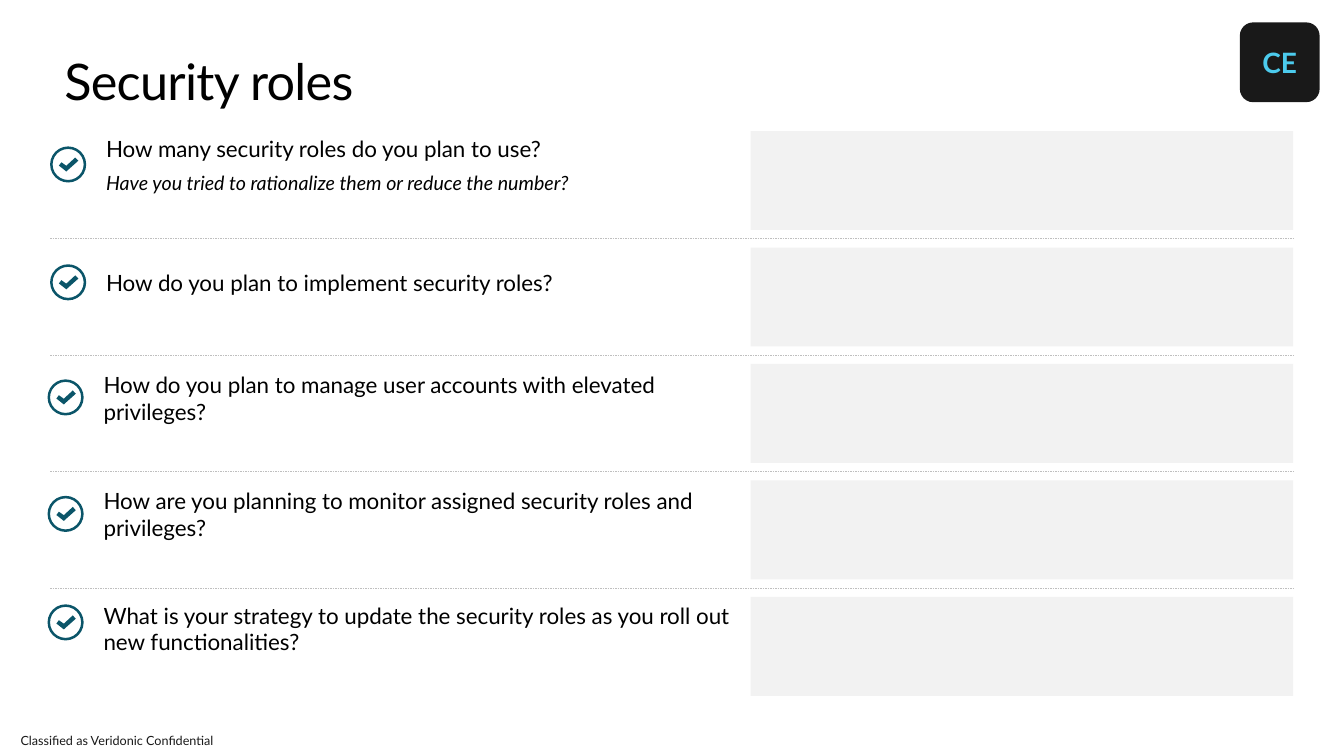
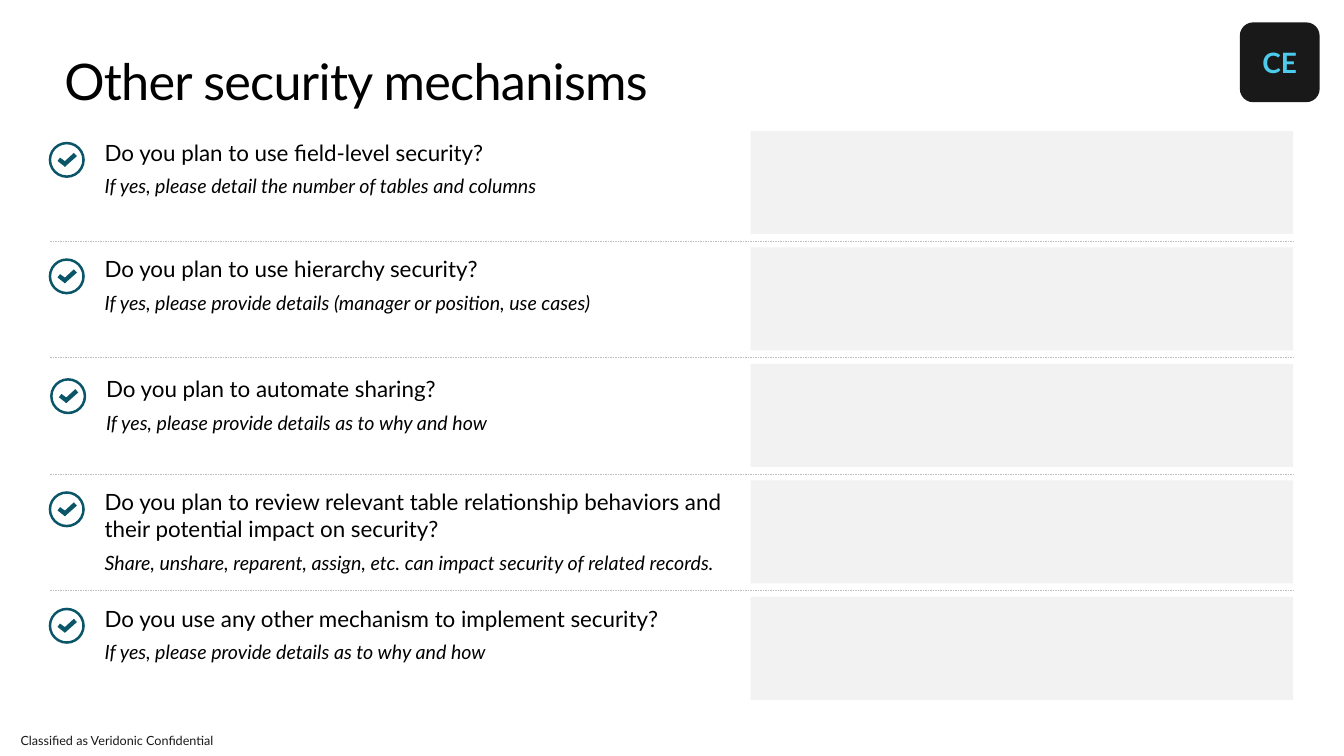
from lxml import etree
from pptx import Presentation
from pptx.dml.color import RGBColor
from pptx.enum.dml import MSO_LINE
from pptx.enum.shapes import MSO_CONNECTOR, MSO_SHAPE
from pptx.enum.text import MSO_ANCHOR, PP_ALIGN
from pptx.oxml.ns import qn
from pptx.util import Pt

RECTANGLE, ROUNDED, DONUT = MSO_SHAPE.RECTANGLE, MSO_SHAPE.ROUNDED_RECTANGLE, MSO_SHAPE.DONUT
TOP, MIDDLE = MSO_ANCHOR.TOP, MSO_ANCHOR.MIDDLE
LEFT, CENTER = PP_ALIGN.LEFT, PP_ALIGN.CENTER

# Content: question, hint, anchor, text left, text shift from the row top
SLIDES = [
    {
        "title": "Security roles",
        "answer_height": 70.6,
        "first_space": 6,
        "rows": [
            ("How many security roles do you plan to use?",
             "Have you tried to rationalize them or reduce the number?", MIDDLE, 70, 0),
            ("How do you plan to implement security roles?", "", MIDDLE, 70, 1),
            ("How do you plan to manage user accounts with elevated privileges?",
             "", MIDDLE, 68.2, 0),
            ("How are you planning to monitor assigned security roles and privileges?",
             "", MIDDLE, 68.2, 0),
            ("What is your strategy to update the security roles as you roll out "
             "new functionalities?", "", TOP, 68.2, -2.4),
        ],
    },
    {
        "title": "Other security mechanisms",
        "answer_height": 73.6,
        "first_space": 0,
        "rows": [
            ("Do you plan to use field-level security?",
             "If yes, please detail the number of tables and columns", TOP, 69, 0),
            ("Do you plan to use hierarchy security?",
             "If yes, please provide details (manager or position, use cases)", TOP, 69, 0),
            ("Do you plan to automate sharing?",
             "If yes, please provide details as to why and how", TOP, 70, 2.4),
            ("Do you plan to review relevant table relationship behaviors and their "
             "potential impact on security?",
             "Share, unshare, reparent, assign, etc. can impact security of related records.",
             TOP, 69, 0),
            ("Do you use any other mechanism to implement security?",
             "If yes, please provide details as to why and how", TOP, 69, 0),
        ],
    },
]
FOOTER = "Classified as Veridonic Confidential"
BADGE = "CE"


# Theme
class Theme:
    black = RGBColor(0x00, 0x00, 0x00)
    dark = RGBColor(0x19, 0x19, 0x19)
    teal = RGBColor(0x0B, 0x55, 0x69)
    cyan = RGBColor(0x4C, 0xCB, 0xED)
    panel = RGBColor(0xF2, 0xF2, 0xF2)
    rule = RGBColor(0xBF, 0xBF, 0xBF)
    font = "Lato"
    title = {"size": Pt(36), "color": black}
    question = {"size": Pt(16), "color": black}
    hint = {"size": Pt(14), "color": black, "italic": True}
    badge = {"size": Pt(20), "color": cyan, "bold": True}
    footer = {"size": Pt(9), "color": dark}


# Layout, in points
ROW_TOP, ROW_PITCH = 93.6, 83.2
ANSWER_LEFT, ANSWER_WIDTH = 536.2, 387.4
RULE_LEFT, RULE_RIGHT = 36, 923.8
TEXT_WIDTH, TEXT_INSET = 466.6, 5.76
TEXT_HEIGHT = {MIDDLE: 48.2, TOP: 73.6}
ICON_SIZE, ICON_GAP = 25.8, 34.2
ICON_DROP = {MIDDLE: 11, TOP: 7.7}
TICK = [(18, 7.9), (11.6, 13.8), (8.1, 11.3), (6.3, 13.7),
        (10.8, 17.2), (11.6, 17.9), (12.7, 16.9), (20.2, 10.2)]


def points(*lengths):
    return [Pt(length) for length in lengths]


def paint(shape, color):
    shape.shadow.inherit = False
    shape.fill.solid()
    shape.fill.fore_color.rgb = color
    shape.line.fill.background()
    return shape


def write(shape, paragraphs, anchor=TOP, align=LEFT, inset=0, wrap=True):
    """Fill a shape with (text, style, space before) paragraphs."""
    frame = shape.text_frame
    frame.word_wrap = wrap
    frame.vertical_anchor = anchor
    for side in ("left", "top", "right", "bottom"):
        setattr(frame, "margin_" + side, Pt(inset))
    for index, (text, style, space) in enumerate(paragraphs):
        paragraph = frame.add_paragraph() if index else frame.paragraphs[0]
        paragraph.alignment = align
        paragraph.space_before = Pt(space)
        run = paragraph.add_run()
        run.text = text
        run.font.name = Theme.font
        for name, value in style.items():
            if name == "color":
                run.font.color.rgb = value
            else:
                setattr(run.font, name, value)
    return frame


def add_frame(slide, title):
    """Footer, title and badge of every slide."""
    footer = slide.shapes.add_textbox(*points(0, 524.9, 167, 10))
    frame = write(footer, [(FOOTER, Theme.footer, 0)], MIDDLE, CENTER, wrap=False)
    frame.paragraphs[0].line_spacing = 0.9

    heading = slide.shapes.add_textbox(*points(46, 36, 828, 44))
    frame = write(heading, [(title, Theme.title, 0)])
    frame.paragraphs[0].runs[0].font._element.set("spc", "-50")

    badge = paint(slide.shapes.add_shape(ROUNDED, *points(885.6, 16, 57, 57)), Theme.dark)
    write(badge, [(BADGE, Theme.badge, 0)], MIDDLE, CENTER)


def add_check(slide, left, top):
    group = slide.shapes.add_group_shape()
    ring = group.shapes.add_shape(DONUT, *points(left, top, ICON_SIZE, ICON_SIZE))
    ring.adjustments[0] = 0.07
    corners = [(Pt(left + x), Pt(top + y)) for x, y in TICK]
    builder = group.shapes.build_freeform(*corners[0])
    builder.add_line_segments(corners[1:], close=True)
    for shape in (ring, builder.convert_to_shape()):
        paint(shape, Theme.teal)


def add_rule(slide, y):
    rule = slide.shapes.add_connector(
        MSO_CONNECTOR.STRAIGHT, *points(RULE_LEFT, y, RULE_RIGHT, y))
    rule.line.color.rgb = Theme.rule
    rule.line.width = Pt(0.25)
    rule.line.dash_style = MSO_LINE.DASH
    etree.SubElement(rule._element.spPr, qn("a:effectLst"))


def add_rows(slide, content):
    height = content["answer_height"]
    for index, (question, hint, anchor, left, shift) in enumerate(content["rows"]):
        row_top = ROW_TOP + index * ROW_PITCH
        text_top = row_top + shift
        if index:
            # Each rule runs midway between two answer panels
            add_rule(slide, row_top - (ROW_PITCH - height) / 2)
        paint(slide.shapes.add_shape(
            RECTANGLE, *points(ANSWER_LEFT, row_top, ANSWER_WIDTH, height)), Theme.panel)
        paragraphs = [(question, Theme.question, content["first_space"] if hint else 0)]
        if hint:
            paragraphs.append((hint, Theme.hint, 6))
        box = slide.shapes.add_textbox(
            *points(left, text_top, TEXT_WIDTH, TEXT_HEIGHT[anchor]))
        write(box, paragraphs, anchor, inset=TEXT_INSET)
        add_check(slide, left - ICON_GAP, text_top + ICON_DROP[anchor])


def main():
    presentation = Presentation()
    presentation.slide_width, presentation.slide_height = points(960, 540)
    blank = presentation.slide_layouts[6]
    for content in SLIDES:
        slide = presentation.slides.add_slide(blank)
        add_frame(slide, content["title"])
        add_rows(slide, content)
    presentation.save("out.pptx")


if __name__ == "__main__":
    main()
